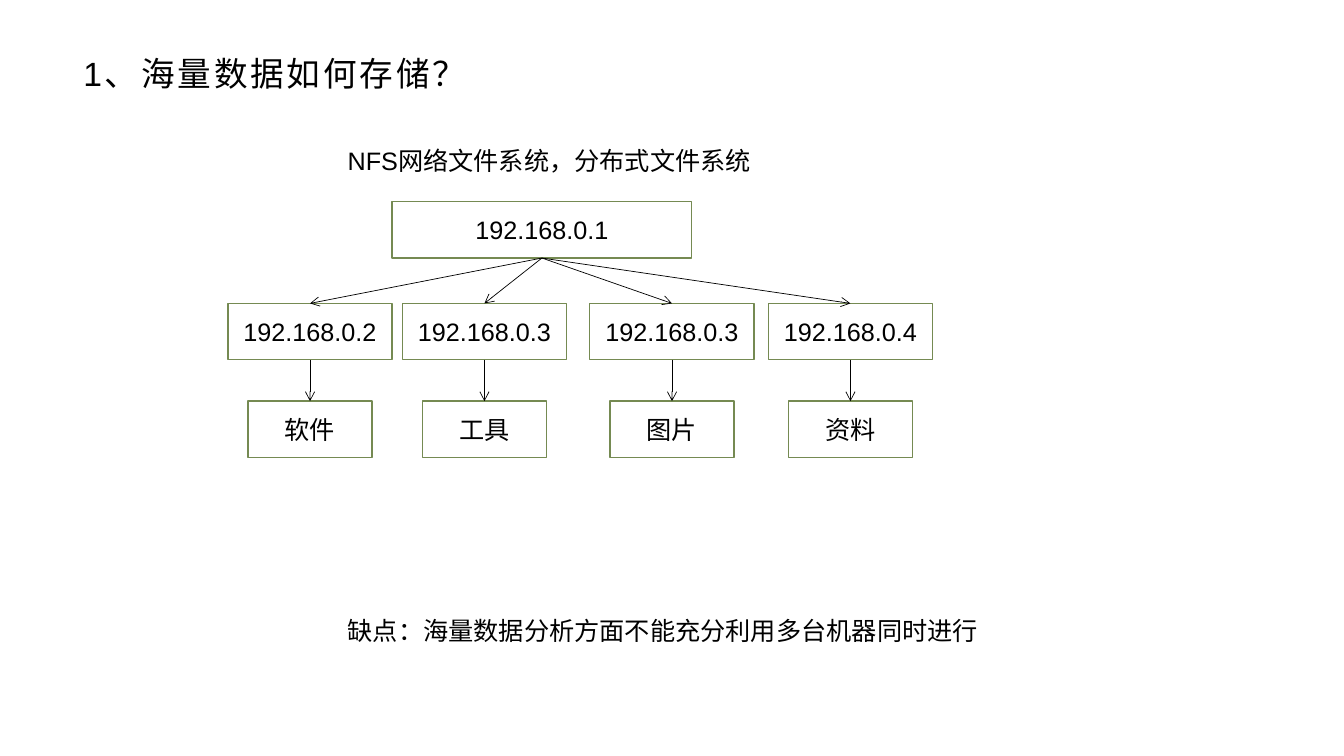
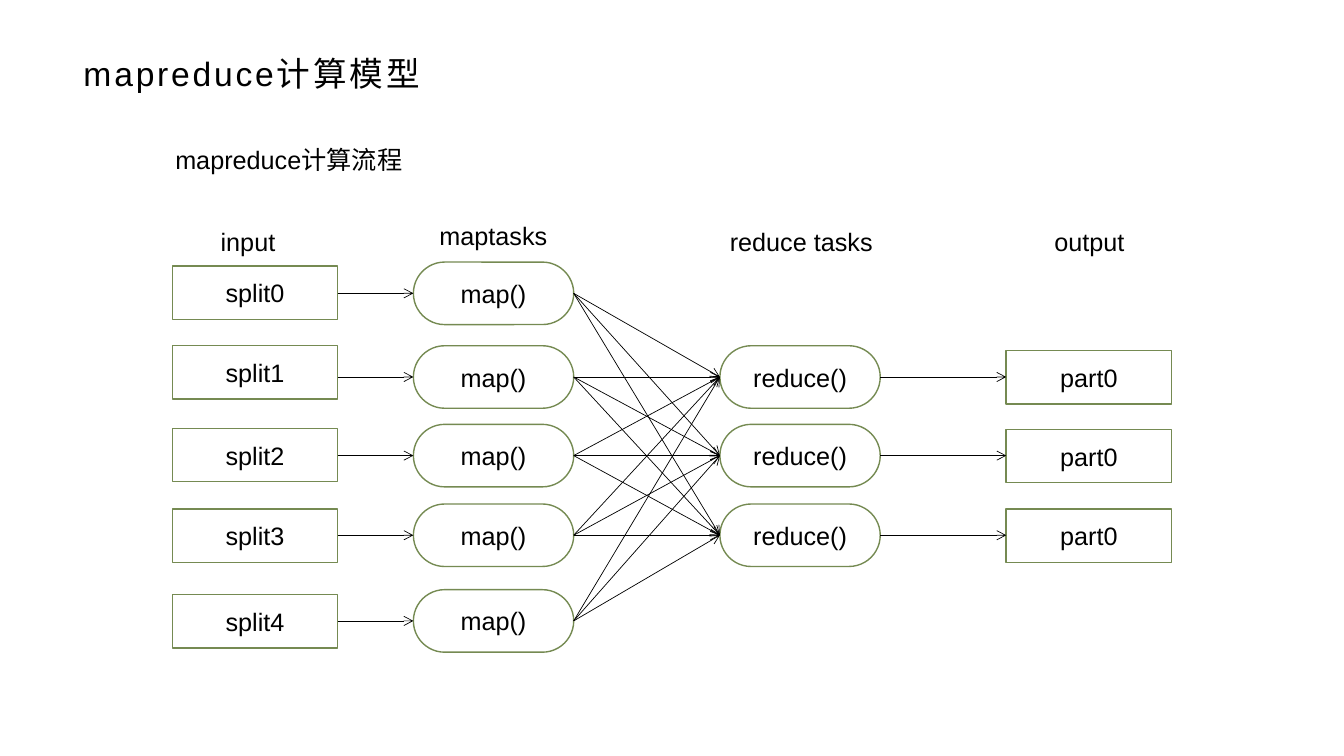
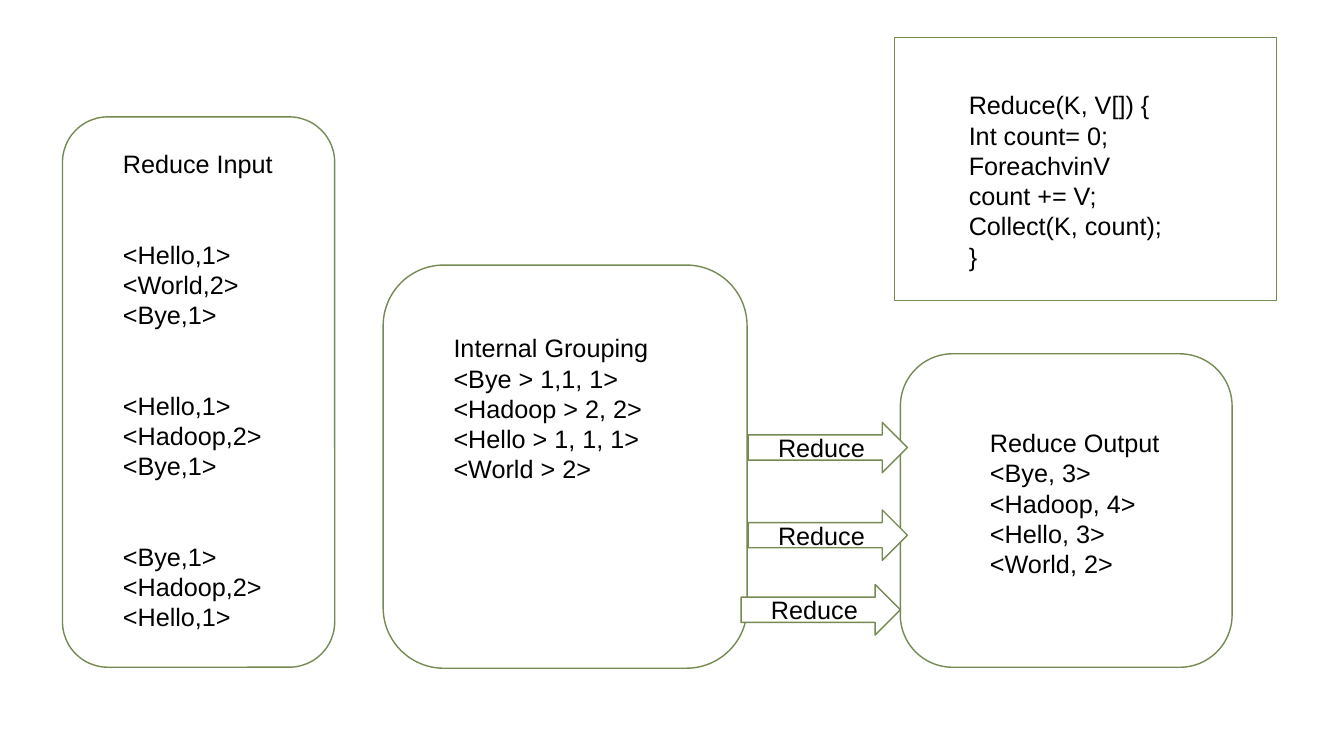
"""Build three slides on distributed storage and the mapreduce model."""
from dataclasses import dataclass
from itertools import product

from lxml.etree import SubElement
from pptx import Presentation
from pptx.dml.color import RGBColor
from pptx.enum.shapes import MSO_CONNECTOR, MSO_SHAPE
from pptx.enum.text import MSO_ANCHOR, MSO_AUTO_SIZE, PP_ALIGN
from pptx.oxml.ns import qn
from pptx.slide import Slide
from pptx.text.text import TextFrame
from pptx.util import Inches, Pt

BLACK = RGBColor(0x00, 0x00, 0x00)
WHITE = RGBColor(0xFF, 0xFF, 0xFF)
GREEN = RGBColor(0x75, 0x8A, 0x52)
FONT = "Arial"

RECT = MSO_SHAPE.RECTANGLE
ROUND = MSO_SHAPE.ROUNDED_RECTANGLE
ARROW = MSO_SHAPE.RIGHT_ARROW

Point = tuple[float, float]


@dataclass(frozen=True)
class Node:
    left: float
    top: float
    width: float
    height: float
    text: str = ""
    kind: MSO_SHAPE = RECT
    bend: float | None = None

    @property
    def north(self) -> Point:
        return self.left + self.width / 2, self.top

    @property
    def south(self) -> Point:
        return self.left + self.width / 2, self.top + self.height

    @property
    def west(self) -> Point:
        return self.left, self.top + self.height / 2

    @property
    def east(self) -> Point:
        return self.left + self.width, self.top + self.height / 2


@dataclass(frozen=True)
class Label:
    left: float
    top: float
    width: float
    text: str
    height: float = 0.4
    wrap: bool = False


def write(frame: TextFrame, text: str, *, size: float = 18, align: PP_ALIGN = PP_ALIGN.LEFT,
          anchor: MSO_ANCHOR = MSO_ANCHOR.TOP, track: int = 0, gap: float = 43.2) -> None:
    frame.vertical_anchor = anchor
    first = True
    for block in text.split("\n\n"):
        for row, line in enumerate(block.split("\n")):
            para = frame.paragraphs[0] if first else frame.add_paragraph()
            para.alignment = align
            if row == 0 and not first:
                para.space_before = Pt(gap)
            first = False
            run = para.add_run()
            run.text = line
            run.font.name = FONT
            run.font.size = Pt(size)
            run.font.color.rgb = BLACK
            if track:
                run.font._element.set("spc", str(track))


def draw(slide: Slide, node: Node) -> None:
    shape = slide.shapes.add_shape(node.kind, Inches(node.left), Inches(node.top),
                                   Inches(node.width), Inches(node.height))
    shape.shadow.inherit = False
    shape.fill.solid()
    shape.fill.fore_color.rgb = WHITE
    shape.line.color.rgb = GREEN
    shape.line.width = Pt(1)
    if node.bend is not None:
        shape.adjustments[0] = node.bend
    if node.text:
        write(shape.text_frame, node.text, align=PP_ALIGN.CENTER, anchor=MSO_ANCHOR.MIDDLE)


def note(slide: Slide, label: Label) -> None:
    box = slide.shapes.add_textbox(Inches(label.left), Inches(label.top),
                                   Inches(label.width), Inches(label.height))
    box.text_frame.word_wrap = label.wrap
    box.text_frame.auto_size = MSO_AUTO_SIZE.SHAPE_TO_FIT_TEXT
    write(box.text_frame, label.text)


def link(slide: Slide, start: Point, end: Point) -> None:
    wire = slide.shapes.add_connector(MSO_CONNECTOR.STRAIGHT, *map(Inches, start + end))
    wire.line.color.rgb = BLACK
    wire.line.width = Pt(0.5)
    props = wire.element.spPr
    SubElement(props.find(qn("a:ln")), qn("a:tailEnd"), type="arrow")
    SubElement(props, qn("a:effectLst"))


def head(slide: Slide, text: str) -> None:
    box = slide.shapes.add_textbox(Inches(0.73), Inches(0.48), Inches(11.87), Inches(0.48))
    box.text_frame.word_wrap = True
    write(box.text_frame, text, size=24, anchor=MSO_ANCHOR.MIDDLE, track=200)


def store(slide: Slide) -> None:
    head(slide, "1、海量数据如何存储？")
    note(slide, Label(3.35, 1.39, 6.63, "NFS网络文件系统，分布式文件系统", wrap=True))
    root = Node(3.89, 2, 2.97, 0.56, "192.168.0.1")
    draw(slide, root)
    hosts = ((2.26, "2", "软件"), (3.99, "3", "工具"), (5.85, "3", "图片"), (7.62, "4", "资料"))
    for left, tail, topic in hosts:
        host = Node(left, 3.01, 1.63, 0.56, f"192.168.0.{tail}")
        leaf = Node(left + 0.2, 3.98, 1.23, 0.56, topic)
        draw(slide, host)
        draw(slide, leaf)
        link(slide, root.south, host.north)
        link(slide, host.south, leaf.north)
    note(slide, Label(3.35, 6.06, 6.45, "缺点：海量数据分析方面不能充分利用多台机器同时进行"))


def flow(slide: Slide) -> None:
    head(slide, "mapreduce计算模型")
    note(slide, Label(1.64, 1.38, 2.45, "mapreduce计算流程", wrap=True))
    for label in (Label(2.09, 2.2, 0.8, "input"), Label(4.26, 2.14, 1.35, "maptasks"),
                  Label(7.14, 2.2, 1.7, "reduce tasks"), Label(10.36, 2.2, 1, "output")):
        note(slide, label)

    tops = (2.6, 3.43, 4.21, 5, 5.85)
    splits = [Node(1.71, top, 1.64, 0.53, f"split{i}")
              for i, top in enumerate((2.64, 3.43, 4.25, 5.05, 5.9))]
    maps = [Node(4.1, top, 1.59, 0.62, "map()", ROUND, 0.5) for top in tops]
    folds = [Node(7.14, top, 1.59, 0.62, "reduce()", ROUND, 0.5) for top in tops[1:4]]
    parts = [Node(9.98, top + 0.05, 1.64, 0.53, "part0") for top in tops[1:4]]
    for node in splits + maps + folds + parts:
        draw(slide, node)

    for split, task in zip(splits, maps):
        link(slide, (split.east[0], task.west[1]), task.west)
    for task, fold in product(maps, folds):
        link(slide, task.east, fold.west)
    for fold, part in zip(folds, parts):
        link(slide, fold.east, (part.left, fold.east[1]))


def count(slide: Slide) -> None:
    for node in (Node(0.62, 1.16, 2.7, 5.46, kind=ROUND), Node(3.8, 2.63, 3.61, 4, kind=ROUND),
                 Node(8.93, 3.51, 3.29, 3.11, kind=ROUND), Node(8.87, 0.37, 3.79, 2.61)):
        draw(slide, node)
    for label in (
        Label(1.12, 1.42, 1.69, "Reduce Input\n\n<Hello,1>\n<World,2>\n<Bye,1>\n\n"
              "<Hello,1>\n<Hadoop,2>\n<Bye,1>\n\n<Bye,1>\n<Hadoop,2>\n<Hello,1>", 4.95),
        Label(4.4, 3.25, 2.13, "Internal Grouping\n<Bye > 1,1, 1>\n<Hadoop > 2, 2>\n"
              "<Hello > 1, 1, 1>\n<World > 2>", 1.61),
        Label(9.72, 4.19, 1.88, "Reduce Output\n<Bye, 3>\n<Hadoop, 4>\n<Hello, 3>\n<World, 2>",
              1.61),
        Label(9.51, 0.84, 2.12, "Reduce(K, V[]) {\nInt count= 0;\nForeachvinV\ncount += V;\n"
              "Collect(K, count);\n}", 1.92),
    ):
        note(slide, label)
    for left, top in ((7.42, 4.19), (7.42, 5.06), (7.35, 5.8)):
        draw(slide, Node(left, top, 1.58, 0.5, "Reduce", ARROW))


def main() -> None:
    deck = Presentation()
    deck.slide_width, deck.slide_height = Inches(13.33), Inches(7.5)
    for build in (store, flow, count):
        build(deck.slides.add_slide(deck.slide_layouts[6]))
    deck.save("out.pptx")


if __name__ == "__main__":
    main()
